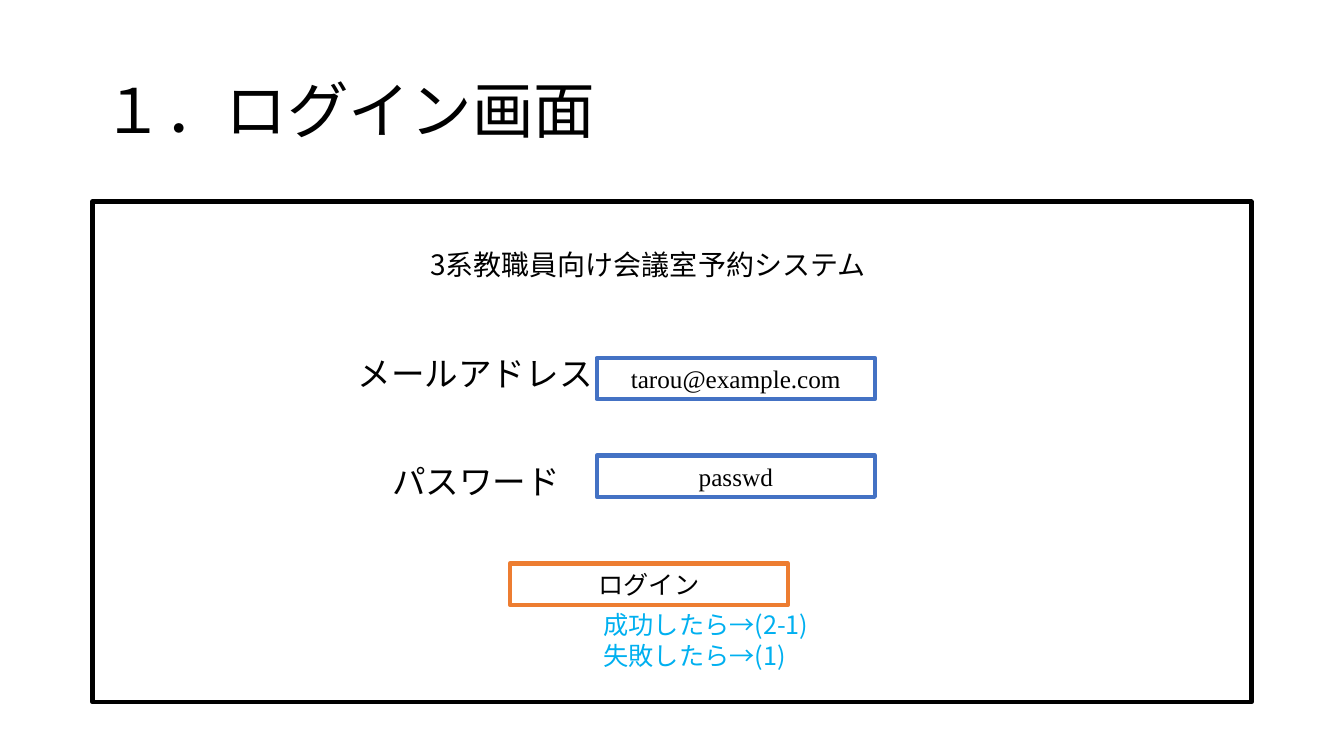
from dataclasses import dataclass

import pptx
import pptx.dml.color
import pptx.enum.shapes
import pptx.enum.text
import pptx.oxml
import pptx.oxml.ns
import pptx.util

Cm = pptx.util.Cm
Align = pptx.enum.text.PP_ALIGN
Anchor = pptx.enum.text.MSO_ANCHOR
AutoSize = pptx.enum.text.MSO_AUTO_SIZE


@dataclass(frozen=True)
class Theme:
    ink: str = "000000"
    field: str = "4472C4"
    button: str = "ED7D31"
    note: str = "00B0F0"
    japanese: str = "Noto Sans CJK JP"
    latin: str = "Times New Roman"
    title_size: int = 44
    label_size: int = 24
    system_size: int = 20
    body_size: int = 18
    border: int = 3


THEME = Theme()


def rgb(value):
    return pptx.dml.color.RGBColor.from_string(value)


def add_run(paragraph, text, size, color=THEME.ink, font=THEME.japanese):
    run = paragraph.add_run()
    run.text = text
    run.font.size = pptx.util.Pt(size)
    run.font.name = font
    run.font.color.rgb = rgb(color)
    east_asian = pptx.oxml.parse_xml(
        f'<a:ea {pptx.oxml.ns.nsdecls("a")} typeface="{THEME.japanese}"/>')
    run.font._element.find(pptx.oxml.ns.qn("a:latin")).addnext(east_asian)


def add_title(slide, text):
    title = slide.shapes.title
    title.left, title.top = Cm(2.33), Cm(1.02)
    title.width, title.height = Cm(29.21), Cm(3.68)
    title.text_frame.vertical_anchor = Anchor.MIDDLE
    heading = title.text_frame.paragraphs[0]
    heading.alignment = Align.LEFT
    heading.line_spacing = 0.9
    add_run(heading, text, THEME.title_size)


def add_frame(slide, left, top, width, height, color):
    frame = slide.shapes.add_shape(
        pptx.enum.shapes.MSO_SHAPE.RECTANGLE,
        Cm(left), Cm(top), Cm(width), Cm(height))
    frame.shadow.inherit = False
    frame.fill.background()
    frame.line.color.rgb = rgb(color)
    frame.line.width = pptx.util.Pt(THEME.border)
    return frame


def add_control(slide, left, top, text, color):
    control = add_frame(slide, left, top, 7.01, 1.04, color)
    control.text_frame.vertical_anchor = Anchor.MIDDLE
    caption = control.text_frame.paragraphs[0]
    caption.alignment = Align.CENTER
    add_run(caption, text, THEME.body_size, font=THEME.latin)


def add_text(slide, left, top, width, height, lines, size,
             color=THEME.ink, wrap=True):
    frame = slide.shapes.add_textbox(
        Cm(left), Cm(top), Cm(width), Cm(height)).text_frame
    frame.word_wrap = wrap
    frame.auto_size = AutoSize.SHAPE_TO_FIT_TEXT
    for index, line in enumerate(lines):
        paragraph = frame.add_paragraph() if index else frame.paragraphs[0]
        add_run(paragraph, line, size, color)


def main():
    deck = pptx.Presentation()
    deck.slide_width, deck.slide_height = Cm(33.87), Cm(19.05)
    slide = deck.slides.add_slide(deck.slide_layouts.get_by_name("Title Only"))

    add_title(slide, "１．ログイン画面")
    add_frame(slide, 2.33, 5.08, 29.21, 12.62, THEME.ink)

    for left, top, width, label in (
            (8.76, 8.76, 6.5, "メールアドレス"),
            (9.63, 11.48, 4.78, "パスワード")):
        add_text(slide, left, top, width, 1.27, [label],
                 THEME.label_size, wrap=False)

    for left, top, text, color in (
            (15.04, 9.02, "tarou@example.com", THEME.field),
            (15.04, 11.48, "passwd", THEME.field),
            (12.85, 14.2, "ログイン", THEME.button)):
        add_control(slide, left, top, text, color)

    add_text(slide, 10.59, 6.12, 11.56, 1.12,
             ["3系教職員向け会議室予約システム"], THEME.system_size)
    add_text(slide, 14.96, 15.24, 7.54, 1.8,
             ["成功したら→(2-1)", "失敗したら→(1)"],
             THEME.body_size, THEME.note)

    deck.save("out.pptx")


main()
